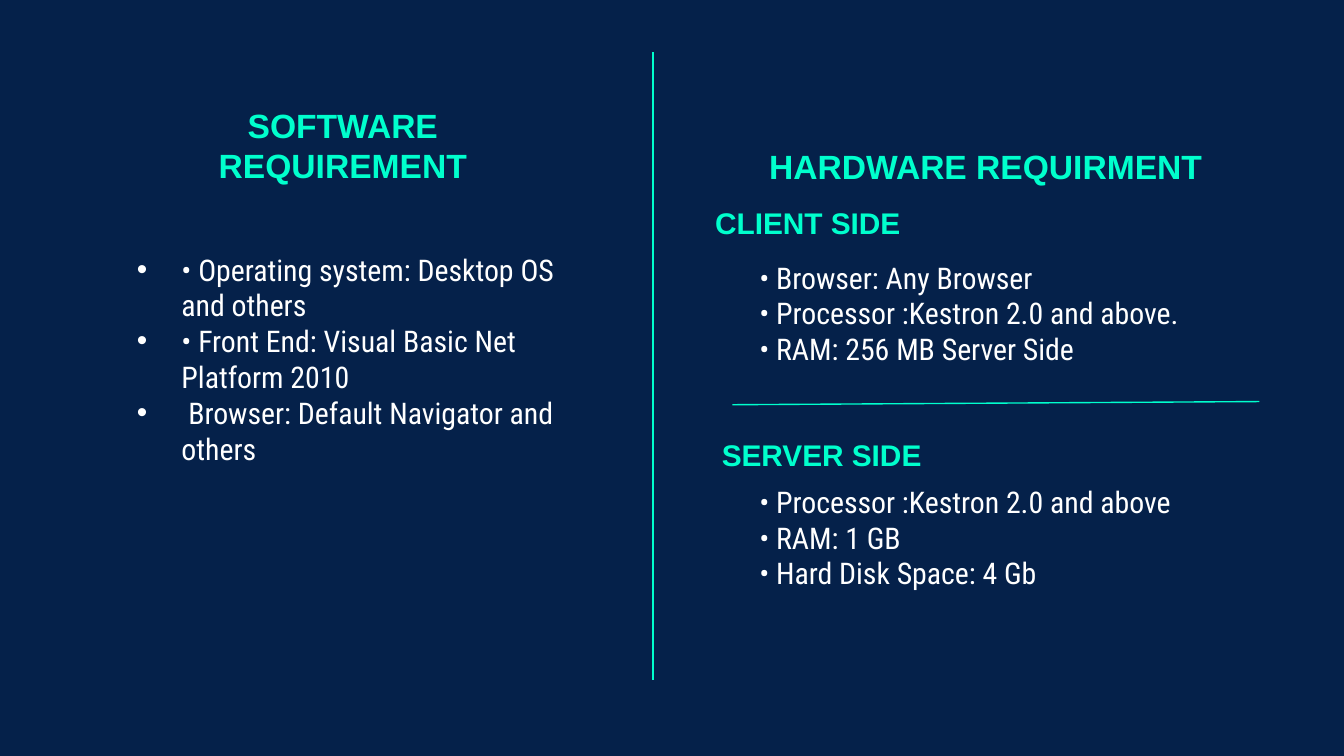
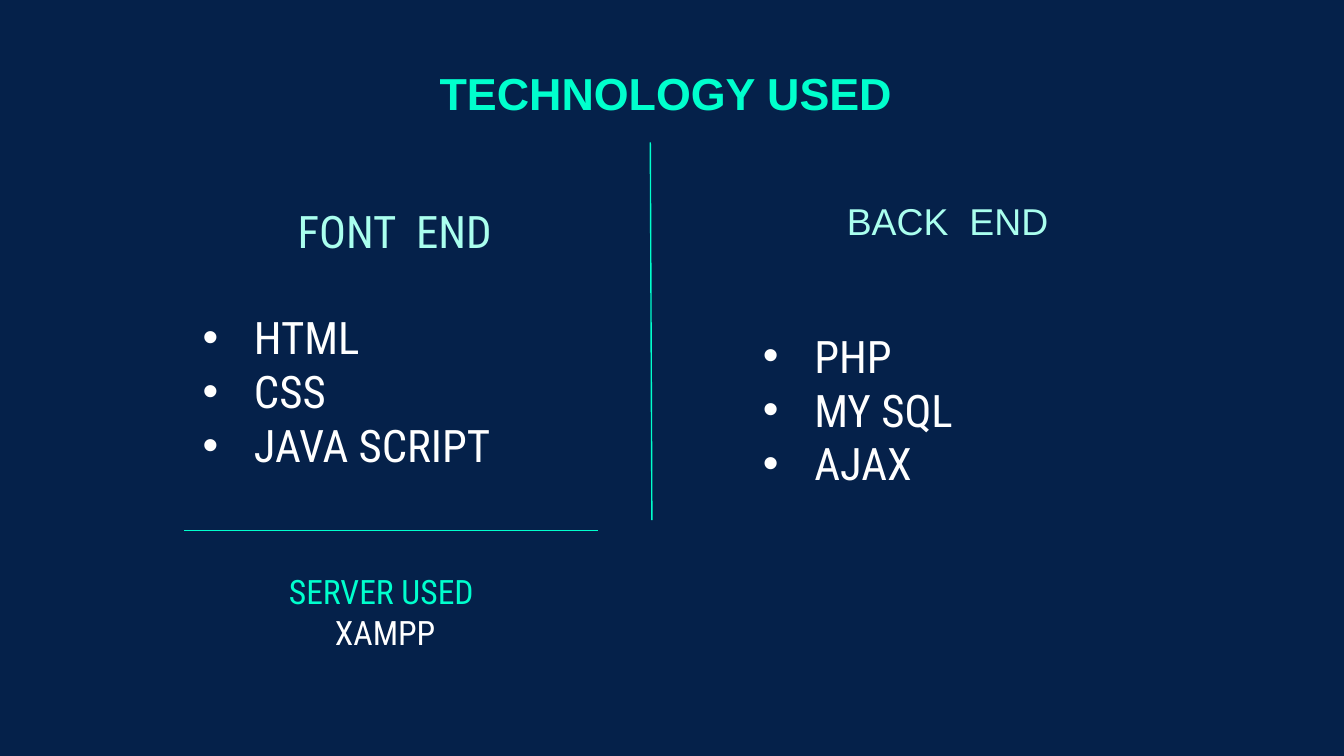
from lxml.etree import SubElement
from pptx import Presentation
from pptx.dml.color import RGBColor
from pptx.enum.shapes import MSO_CONNECTOR
from pptx.enum.text import MSO_ANCHOR, MSO_AUTO_SIZE, PP_ALIGN
from pptx.oxml.ns import qn
from pptx.util import Cm, Pt

NAVY, MINT, PALE, WHITE = "05214A", "00FFCD", "AAFFEE", "FFFFFF"
HEAD, BODY = "Arial", "Roboto Condensed"


def style(size, name, color, bold=False, **para):
    return {"font": {"size": Pt(size), "name": name, "bold": bold}, "color": color, **para}


NARROW, WIDE = (1.27, -0.84), (1.37, -0.97)
TITLE = style(24, HEAD, MINT, True, center=True)
HEADING = style(18, HEAD, MINT, True, center=True)
SIDE = style(16, HEAD, MINT, True, center=True)
PLAIN = style(16, BODY, WHITE, indent=NARROW)
BULLET = {**PLAIN, "bullet": True}
FRONT = style(24, BODY, PALE, center=True, indent=NARROW)
BACK = style(20, HEAD, PALE, center=True)
TECH = style(24, BODY, WHITE, indent=WIDE, bullet=True)
SERVER = style(18, BODY, MINT, center=True)
SERVER_NAME = {**SERVER, "color": WHITE}

TOP, BOTTOM = MSO_ANCHOR.TOP, MSO_ANCHOR.BOTTOM
PAD, SLIM = 0.25, 0.13


def listing(first, rest, items, gap=0):
    head = [(first, rest[0], 0)] if first else []
    return head + [(t, rest[-1], gap if i == 0 else 0) for i, t in enumerate(items)]


SLIDES = [
    {
        "boxes": [
            ((2.03, 2.57, 8.9, 1.19), BOTTOM, PAD, listing("", [HEADING], ["SOFTWARE REQUIREMENT"])),
            ((11.53, 8, 8, 1.19), TOP, PAD, listing("", [SIDE], ["SERVER SIDE"])),
            ((11.56, 3.61, 7.42, 1.19), BOTTOM, PAD, listing("", [SIDE], ["CLIENT SIDE"])),
            ((13.67, 4.65, 12.45, 2.79), TOP, PAD, listing("", [PLAIN], [
                "• Browser: Any Browser",
                "• Processor :Kestron 2.0 and above.",
                "• RAM: 256 MB Server Side"])),
            ((13.84, 2.59, 9.58, 1.19), BOTTOM, PAD, listing("", [HEADING], ["HARDWARE REQUIRMENT"])),
            ((13.67, 8.89, 9.04, 2.79), TOP, PAD, listing("", [PLAIN], [
                "• Processor :Kestron 2.0 and above",
                "• RAM: 1 GB",
                "• Hard Disk Space: 4 Gb"])),
            ((1.91, 4.5, 9.7, 4.67), TOP, PAD, listing("", [BULLET], [
                "• Operating system: Desktop OS and others",
                "• Front End: Visual Basic Net Platform 2010",
                " Browser: Default Navigator and others"])),
        ],
        "rules": [(12.34, 0.99, 12.34, 12.85), (23.8, 7.59, 13.84, 7.65)],
    },
    {
        "boxes": [
            ((5.46, 0.99, 14.48, 2.62), TOP, PAD, listing("", [TITLE], ["TECHNOLOGY USED "])),
            ((3.18, 3.61, 8.13, 6.4), TOP, PAD,
             listing("FONT  END", [FRONT, TECH], ["HTML", "CSS", "JAVA SCRIPT"], 28)),
            ((13.77, 3.61, 8.28, 6.4), TOP, SLIM,
             listing("BACK  END", [BACK, TECH], ["PHP", "MY SQL", "AJAX"], 46)),
            ((4.27, 10.67, 6.02, 1.8), TOP, SLIM,
             listing("SERVER USED ", [SERVER, SERVER_NAME], ["XAMPP"])),
        ],
        "rules": [(12.29, 2.69, 12.32, 9.83), (11.3, 10.03, 3.48, 10.03)],
    },
]


def rgb(color):
    return RGBColor.from_string(color)


def assign(obj, values):
    for key, value in values.items():
        setattr(obj, key, value)


def add_bullet(p_pr, color):
    SubElement(SubElement(p_pr, qn("a:buClr")), qn("a:srgbClr")).set("val", color)
    SubElement(p_pr, qn("a:buFont")).set("typeface", HEAD)
    SubElement(p_pr, qn("a:buChar")).set("char", "•")


def write(p, text, fmt, gap):
    p_pr = p._p.get_or_add_pPr()
    for key, value in zip(("marL", "indent"), fmt.get("indent", (0, 0))):
        p_pr.set(key, str(int(Cm(value))))
    if fmt.get("bullet"):
        add_bullet(p_pr, fmt["color"])
    p.alignment = PP_ALIGN.CENTER if fmt.get("center") else PP_ALIGN.LEFT
    if gap:
        p.space_before = Pt(gap)
    r = p.add_run()
    r.text = text
    assign(r.font, fmt["font"])
    r.font.color.rgb = rgb(fmt["color"])


def fill_box(sp, at, anchor, pad, paras):
    assign(sp, dict(zip(("left", "top", "width", "height"), map(Cm, at))))
    tf = sp.text_frame
    assign(tf, {"word_wrap": True, "auto_size": MSO_AUTO_SIZE.NONE, "vertical_anchor": anchor,
                "margin_left": Cm(0.25), "margin_right": Cm(0.25),
                "margin_top": Cm(pad), "margin_bottom": Cm(pad)})
    for i, para in enumerate(paras):
        write(tf.add_paragraph() if i else tf.paragraphs[0], *para)


def add_rule(s, ends):
    line = s.shapes.add_connector(MSO_CONNECTOR.STRAIGHT, *map(Cm, ends))
    line.line.color.rgb = rgb(MINT)
    line.line.width = Pt(0.75)
    SubElement(line._element.spPr, qn("a:effectLst"))


def main():
    prs = Presentation()
    assign(prs, {"slide_width": Cm(25.4), "slide_height": Cm(14.29)})
    fill = prs.slide_master.background.fill
    fill.solid()
    fill.fore_color.rgb = rgb(NAVY)
    for slide in SLIDES:
        s = prs.slides.add_slide(prs.slide_layouts[5])
        for i, (at, *rest) in enumerate(slide["boxes"]):
            sp = s.shapes.add_textbox(*map(Cm, at)) if i else s.shapes.title
            fill_box(sp, at, *rest)
        for ends in slide["rules"]:
            add_rule(s, ends)
    prs.save("out.pptx")


if __name__ == "__main__":
    main()
